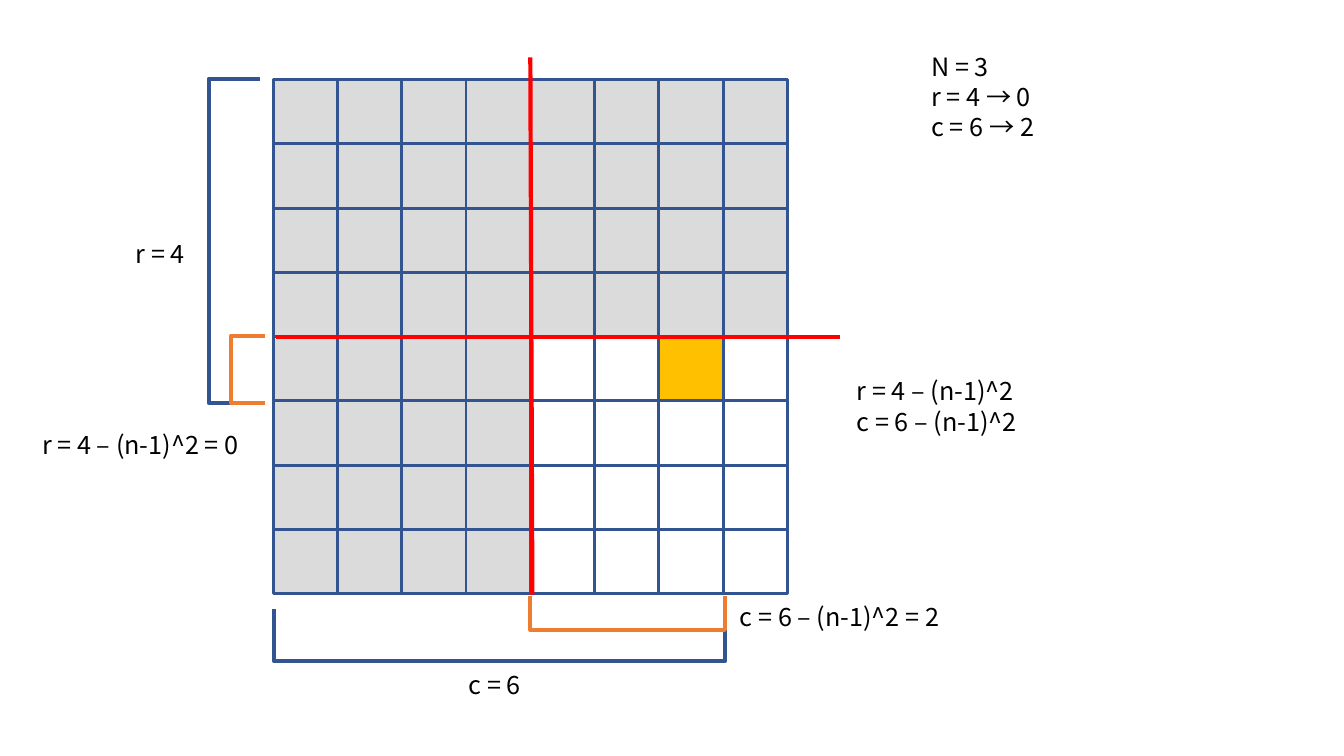
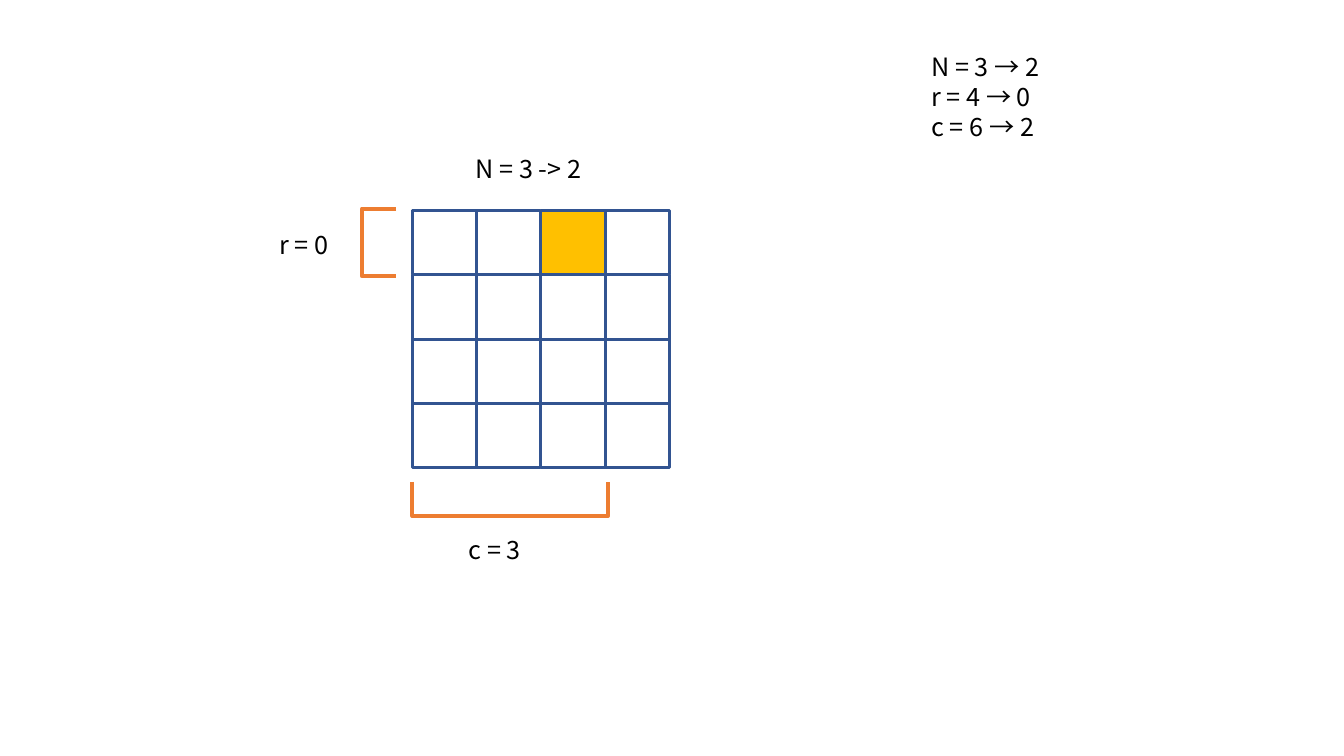
import pptx
import pptx.util
import pptx.dml.color
import pptx.enum.shapes
import pptx.enum.text
import pptx.oxml
import pptx.oxml.ns

Inches = pptx.util.Inches
Pt = pptx.util.Pt

FONT = "Noto Sans CJK KR"
CELL = 5.1 / 8
COLORS = {
    "navy": "325491",
    "orange": "ED7D31",
    "red": "FF0000",
    "gray": "DBDBDB",
    "gold": "FFC000",
    "white": "FFFFFF",
    "black": "000000",
}


def color(name):
    """Return the named colour."""
    return pptx.dml.color.RGBColor.from_string(COLORS[name])


def stroke(line, name, width):
    """Set a line's colour and its width in points."""
    line.color.rgb = color(name)
    line.width = Pt(width)


def add_grid(slide, left, top, count, target, start=0):
    """Draw a square grid, gray before start, with one gold target cell."""
    for row in range(count):
        for col in range(count):
            cell = slide.shapes.add_shape(
                pptx.enum.shapes.MSO_SHAPE.RECTANGLE,
                Inches(left + col * CELL), Inches(top + row * CELL),
                Inches(CELL), Inches(CELL))
            cell.shadow.inherit = False
            if (row, col) == target:
                fill = "gold"
            else:
                fill = "gray" if min(row, col) < start else "white"
            cell.fill.solid()
            cell.fill.fore_color.rgb = color(fill)
            stroke(cell.line, "navy", 2)


def add_bracket(slide, points, name):
    """Draw an open bracket through four points."""
    spots = [(Inches(x), Inches(y)) for x, y in points]
    outline = slide.shapes.build_freeform(*spots[0])
    outline.add_line_segments(spots[1:], close=False)
    bracket = outline.convert_to_shape()
    bracket.shadow.inherit = False
    bracket.fill.background()
    stroke(bracket.line, name, 2.75)


def add_rows(slide, left, right, top, bottom, name):
    """Bracket a span of rows, open to the right."""
    points = [(right, top), (left, top), (left, bottom), (right, bottom)]
    add_bracket(slide, points, name)


def add_cols(slide, left, right, top, bottom, name):
    """Bracket a span of columns, open to the top."""
    points = [(left, top), (left, bottom), (right, bottom), (right, top)]
    add_bracket(slide, points, name)


def add_label(slide, left, top, width, *lines):
    """Add a text label with one paragraph for each line."""
    box = slide.shapes.add_textbox(
        Inches(left), Inches(top), Inches(width), Inches(0.1 + 0.3 * len(lines)))
    frame = box.text_frame
    frame.word_wrap = False
    frame.auto_size = pptx.enum.text.MSO_AUTO_SIZE.SHAPE_TO_FIT_TEXT
    frame.margin_top = Inches(0.07)
    frame.margin_bottom = Inches(0.03)
    frame.text = "\n".join(lines)
    for para in frame.paragraphs:
        para.line_spacing = Pt(21.5)
        para.font.name = FONT
        para.font.size = Pt(18)
        para.font.color.rgb = color("black")


def add_split(slide, start, end):
    """Draw a red line that splits the grid."""
    line = slide.shapes.add_connector(
        pptx.enum.shapes.MSO_CONNECTOR.STRAIGHT,
        *(Inches(value) for value in start + end))
    stroke(line.line, "red", 3)
    props = line._element.find(pptx.oxml.ns.qn("p:spPr"))
    props.append(pptx.oxml.parse_xml(
        "<a:effectLst %s/>" % pptx.oxml.ns.nsdecls("a")))


def add_state(slide, size):
    """List the values of N, r and c."""
    add_label(slide, 9.14, 0.44, 1.53, size, "r = 4 → 0", "c = 6 → 2")


def draw_whole(slide):
    """Draw the full grid, split in four."""
    add_grid(slide, 2.71, 0.79, 8, (4, 6), start=4)
    add_cols(slide, 2.72, 7.19, 6.04, 6.56, "navy")
    add_cols(slide, 5.26, 7.19, 5.91, 6.25, "orange")
    add_rows(slide, 2.07, 2.58, 0.78, 4, "navy")
    add_rows(slide, 2.29, 2.63, 3.33, 4, "orange")
    add_label(slide, 0.32, 4.19, 2.45, "r = 4 – (n-1)^2 = 0")
    add_label(slide, 4.55, 6.57, 0.82, "c = 6")
    add_label(slide, 1.25, 2.3, 0.79, "r = 4")
    add_label(slide, 7.24, 5.9, 2.48, "c = 6 – (n-1)^2 = 2")
    add_label(slide, 8.4, 3.66, 1.98, "r = 4 – (n-1)^2", "c = 6 – (n-1)^2")
    add_state(slide, "N = 3")
    add_split(slide, (5.26, 0.57), (5.28, 5.9))
    add_split(slide, (2.74, 3.34), (8.33, 3.34))


def draw_part(slide):
    """Draw the quarter that holds the target."""
    add_grid(slide, 4.09, 2.09, 4, (0, 2))
    add_cols(slide, 4.09, 6.03, 4.78, 5.12, "orange")
    add_rows(slide, 3.59, 3.93, 2.07, 2.74, "orange")
    add_label(slide, 4.55, 5.23, 0.82, "c = 3")
    add_label(slide, 2.67, 2.21, 0.79, "r = 0")
    add_label(slide, 4.62, 1.45, 1.49, "N = 3 -> 2")
    add_state(slide, "N = 3 → 2")


def main():
    """Build and save the slides."""
    deck = pptx.Presentation()
    deck.slide_width = Inches(13.33)
    deck.slide_height = Inches(7.5)
    for draw in (draw_whole, draw_part):
        draw(deck.slides.add_slide(deck.slide_layouts[6]))
    deck.save("out.pptx")


main()
